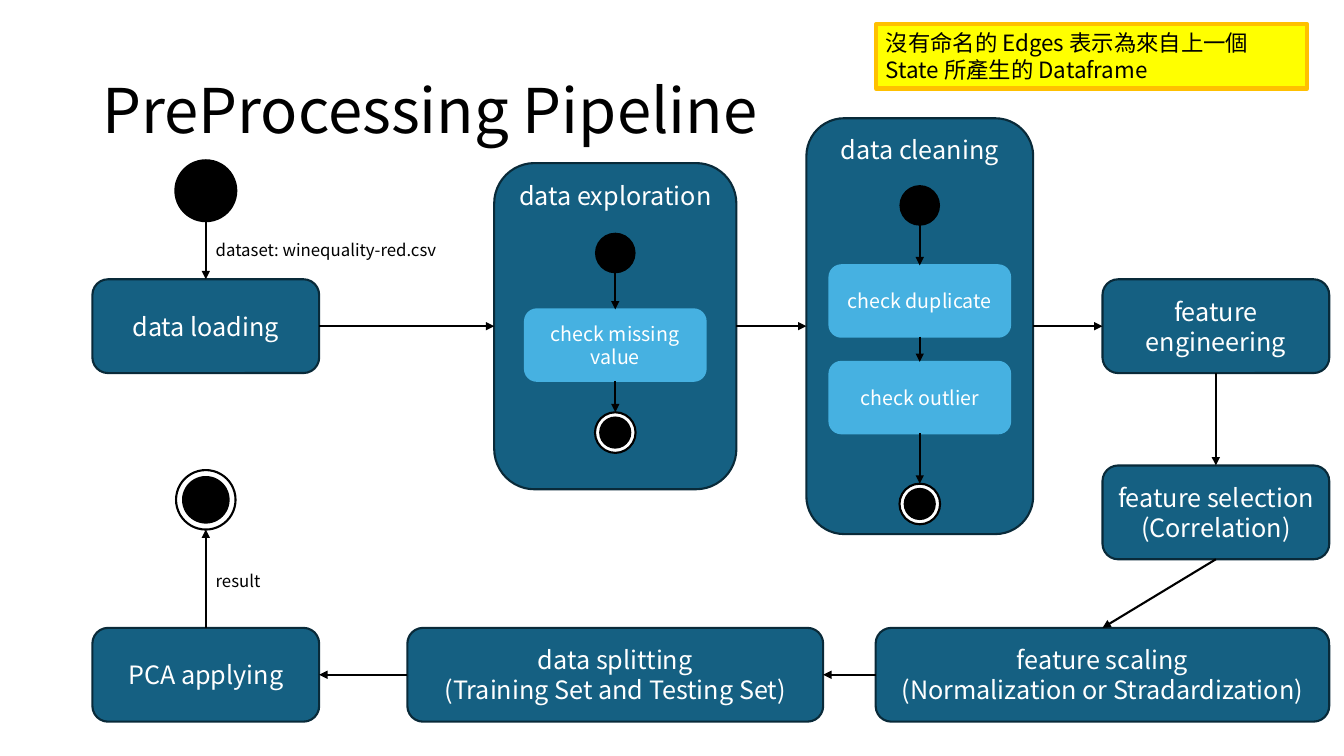
"""Draw the preprocessing pipeline as a state diagram."""
from lxml import etree
from pptx import Presentation
from pptx.dml.color import RGBColor
from pptx.enum.shapes import MSO_CONNECTOR, MSO_SHAPE
from pptx.enum.text import MSO_ANCHOR, PP_ALIGN
from pptx.oxml.ns import qn
from pptx.util import Pt

BLACK = RGBColor(0, 0, 0)
WHITE = RGBColor(0xFF, 0xFF, 0xFF)
TEAL = RGBColor(0x15, 0x60, 0x82)
NAVY = RGBColor(0x09, 0x2A, 0x39)
SKY = RGBColor(0x46, 0xB1, 0xE1)
YELLOW = RGBColor(0xFF, 0xFF, 0)
AMBER = RGBColor(0xFF, 0xC0, 0)
ROUND = MSO_SHAPE.ROUNDED_RECTANGLE
RECT = MSO_SHAPE.RECTANGLE
OVAL = MSO_SHAPE.OVAL
DONUT = MSO_SHAPE.DONUT
STRAIGHT = MSO_CONNECTOR.STRAIGHT
TOP, MIDDLE = MSO_ANCHOR.TOP, MSO_ANCHOR.MIDDLE
LEFT, CENTER = PP_ALIGN.LEFT, PP_ALIGN.CENTER
UP, WEST, DOWN, EAST = range(4)


class Chart:
    """Style and current slide of the state diagram."""

    font = "Noto Sans CJK SC"
    small = "Noto Sans CJK JP"
    line = 1.5

    def __init__(self, slide):
        self.slide = slide

    def words(self, shape, text, size, color, align=CENTER, anchor=MIDDLE, font=font):
        """Fill a shape with one paragraph per line of text."""
        frame = shape.text_frame
        frame.text = text
        frame.vertical_anchor = anchor
        for para in frame.paragraphs:
            para.alignment = align
            para.font.size = Pt(size)
            para.font.name = font
            para.font.color.rgb = color
            props = para._p.pPr.find(qn("a:defRPr"))
            etree.SubElement(props, qn("a:ea"), typeface=font)
        return frame

    def shape(self, kind, mid, top, width, height, fill, edge, line=line):
        """Add a preset shape centred on the given x."""
        item = self.slide.shapes.add_shape(
            kind, Pt(mid - width / 2), Pt(top), Pt(width), Pt(height))
        item.shadow.inherit = False
        item.fill.solid()
        item.fill.fore_color.rgb = fill
        item.line.color.rgb = edge
        item.line.width = Pt(line)
        return item

    def state(self, text, mid, top, width=162, height=67, anchor=MIDDLE):
        """Add a main state."""
        item = self.shape(ROUND, mid, top, width, height, TEAL, NAVY)
        self.words(item, text, 18, WHITE, anchor=anchor).word_wrap = True
        return item

    def check(self, text, mid, top):
        """Add a light step inside a state."""
        item = self.shape(ROUND, mid, top, 129, 51, SKY, SKY)
        self.words(item, text, 14, WHITE).word_wrap = True
        return item

    def start(self, mid, top, size=27.5):
        """Add a start dot."""
        return self.shape(OVAL, mid, top, size, size, BLACK, BLACK)

    def end(self, mid, top, size=29, core=21.5):
        """Add a ringed end dot and return its ring."""
        ring = self.shape(DONUT, mid, top, size, size, WHITE, BLACK)
        self.shape(OVAL, mid, top + (size - core) / 2, core, core, BLACK, BLACK)
        return ring

    def label(self, text, left, top, width, height, size, font=font, wrap=False, anchor=TOP):
        """Add free text."""
        item = self.slide.shapes.add_textbox(Pt(left), Pt(top), Pt(width), Pt(height))
        frame = self.words(item, text, size, BLACK, LEFT, anchor, font)
        frame.word_wrap = wrap
        return frame

    def note(self, text, mid, top, width, height):
        """Add a highlighted remark."""
        item = self.shape(RECT, mid, top, width, height, YELLOW, AMBER, 3)
        self.words(item, text, 16, BLACK, LEFT, TOP).word_wrap = True

    def spot(self, item, side):
        """Find the middle of a side."""
        dx, dy = ((0.5, 0), (0, 0.5), (0.5, 1), (1, 0.5))[side]
        return int(item.left + item.width * dx), int(item.top + item.height * dy)

    def link(self, one, out, two, into):
        """Draw an arrow between the sides of two shapes."""
        item = self.slide.shapes.add_connector(
            STRAIGHT, *self.spot(one, out), *self.spot(two, into))
        if one.auto_shape_type == ROUND:
            item.begin_connect(one, out)
        if two.auto_shape_type == ROUND:
            item.end_connect(two, into)
        item.line.color.rgb = BLACK
        item.line.width = Pt(self.line)
        edge = item._element.spPr.find(qn("a:ln"))
        etree.SubElement(edge, qn("a:tailEnd"), type="triangle")
        etree.SubElement(item._element.spPr, qn("a:effectLst"))

    def fall(self, *items):
        """Link shapes downwards in order."""
        for one, two in zip(items, items[1:]):
            self.link(one, DOWN, two, UP)


def main():
    """Build and save the slide."""
    deck = Presentation()
    deck.slide_width, deck.slide_height = Pt(960), Pt(540)
    art = Chart(deck.slides.add_slide(deck.slide_layouts[6]))

    title = art.label("PreProcessing Pipeline", 66, 28.75, 828, 104.5, 44,
                      wrap=True, anchor=MIDDLE)
    title.paragraphs[0].line_spacing = 0.9

    west, probe, clean, east = 147, 439.5, 657, 868.5
    row, base = 199.5, 448.5
    load = art.state("data loading", west, row)
    explore = art.state("data exploration", probe, 116.5, 173, 233, TOP)
    tidy = art.state("data cleaning", clean, 84.5, 162, 297, TOP)
    craft = art.state("feature engineering", east, row)
    select = art.state("feature selection\n(Correlation)", east, 332.5)
    scale = art.state("feature scaling\n(Normalization or Stradardization)",
                      787.5, base, 324)
    split = art.state("data splitting\n(Training Set and Testing Set)",
                      439.5, base, 297)
    reduce = art.state("PCA applying", west, base)

    for one, two in ((load, explore), (explore, tidy), (tidy, craft)):
        art.link(one, EAST, two, WEST)
    art.fall(craft, select, scale)
    for one, two in ((scale, split), (split, reduce)):
        art.link(one, WEST, two, EAST)

    art.fall(art.start(west, 114.5, 43.5), load)
    art.link(reduce, UP, art.end(west, 335.75, 42.5, 32.5), DOWN)
    art.fall(art.start(probe, 167),
             art.check("check missing value", probe, 221),
             art.end(probe, 294.5))
    art.fall(art.start(clean, 133),
             art.check("check duplicate", clean, 189.5),
             art.check("check outlier", clean, 258.5),
             art.end(clean, 345.5))

    art.label("dataset: winequality-red.csv", west, 168, 173, 21.5, 12, art.small)
    art.label("result", west, 404, 47, 21.5, 12, art.small)
    art.note("沒有命名的 Edges 表示為來自上一個 State 所產生的 Dataframe",
             779.75, 17.25, 308, 46)
    deck.save("out.pptx")


if __name__ == "__main__":
    main()
